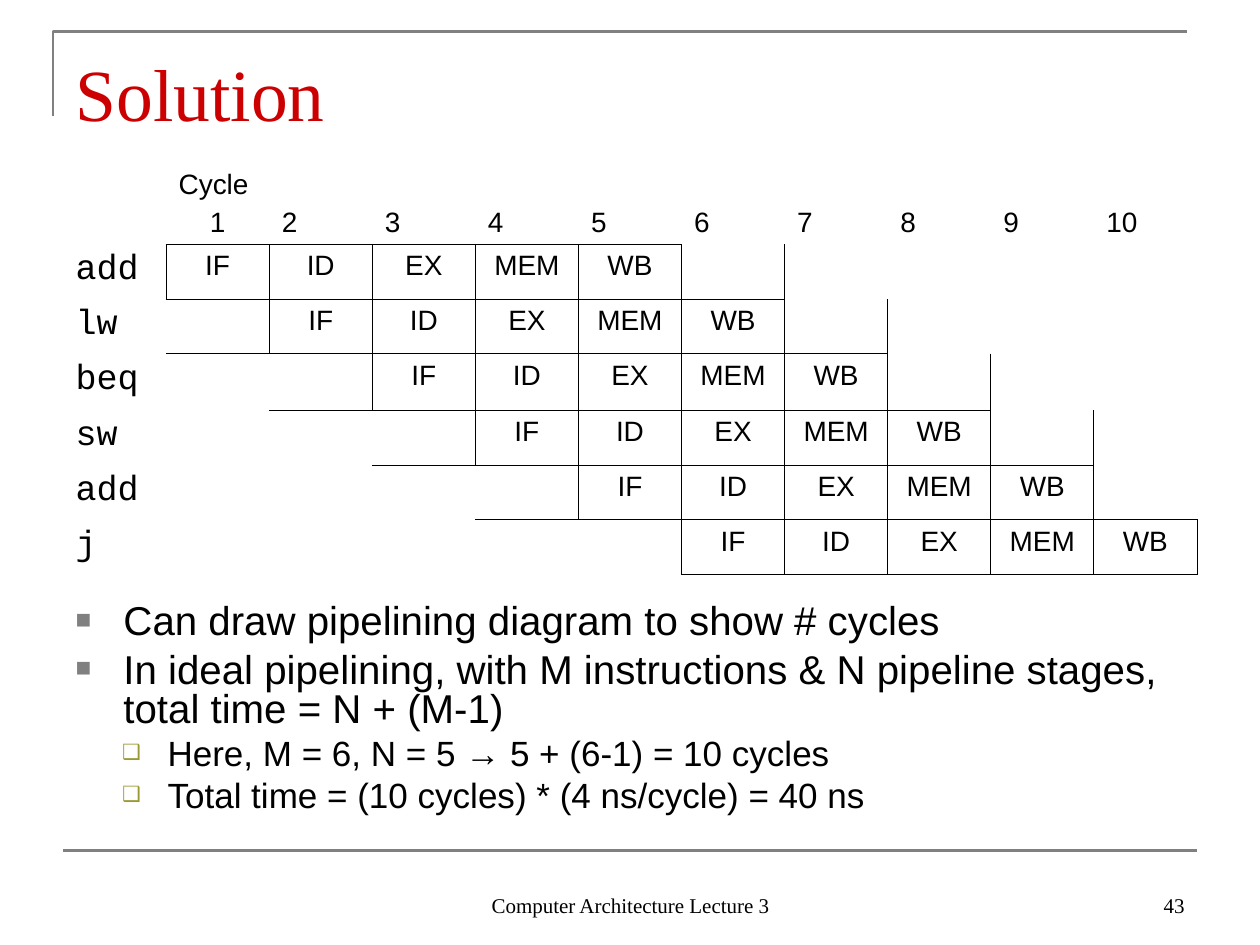
"""Build the pipelining solution slide."""
from lxml.etree import SubElement
from pptx import Presentation
from pptx.dml.color import RGBColor
from pptx.enum.shapes import MSO_CONNECTOR
from pptx.enum.text import MSO_ANCHOR, MSO_AUTO_SIZE, PP_ALIGN
from pptx.oxml.ns import qn
from pptx.util import Inches, Pt

COLORS = {"text": "000000", "title": "CC0000", "rule": "808080", "sub": "999933"}
SERIF, SANS, MONO = "Times New Roman", "Arial", "Courier New"
NO_STYLE = "{2D5ABB26-0587-4C30-8999-92F81FD0307C}"
STAGES = ["IF", "ID", "EX", "MEM", "WB"]
INSTRUCTIONS = ["add", "lw", "beq", "sw", "add", "j"]
CYCLES = len(INSTRUCTIONS) + len(STAGES) - 1
ROW_HEIGHTS = [0.69, 0.43, 0.43, 0.45, 0.43, 0.43, 0.43]
SIDES = {"a:lnL": (0, -1), "a:lnR": (0, 1), "a:lnT": (-1, 0), "a:lnB": (1, 0)}
BULLETS = [
    (0, "Can draw pipelining diagram to show # cycles"),
    (0, "In ideal pipelining, with M instructions & N pipeline stages, "
        "total time = N + (M-1)"),
    (1, "Here, M = 6, N = 5 → 5 + (6-1) = 10 cycles"),
    (1, "Total time = (10 cycles) * (4 ns/cycle) = 40 ns"),
]
LEVELS = [
    {"size": 23, "before": 5.8, "left": 0.38, "hang": 0.38,
     "char": "■", "color": "rule", "pct": 65},
    {"size": 20, "before": 5, "left": 0.73, "hang": 0.36,
     "char": "❑", "color": "sub", "pct": 60},
]


def rgb(name):
    return RGBColor.from_string(COLORS[name])


def add_run(p, text, size, font, color="text"):
    r = p.add_run()
    r.text = text
    r.font.size = Pt(size)
    r.font.name = font
    r.font.color.rgb = rgb(color)


def place(sp, left, top, width, height):
    sp.left, sp.top = Inches(left), Inches(top)
    sp.width, sp.height = Inches(width), Inches(height)


def add_frame(s):
    fb = s.shapes.build_freeform(Inches(0.42), Inches(0.92))
    fb.add_line_segments([(Inches(0.42), Inches(0.25)),
                          (Inches(9.42), Inches(0.25))], close=False)
    corner = fb.convert_to_shape()
    corner.fill.background()
    corner.shadow.inherit = False
    rule = s.shapes.add_connector(MSO_CONNECTOR.STRAIGHT, Inches(0.5), Inches(6.75),
                                  Inches(9.5), Inches(6.75))
    SubElement(rule._element.spPr, qn("a:effectLst"))
    for sp in (corner, rule):
        sp.line.color.rgb = rgb("rule")
        sp.line.width = Pt(1.5)


def fill_title(sp, text):
    place(sp, 0.5, 0.3, 9, 0.78)
    tf = sp.text_frame
    tf.auto_size = MSO_AUTO_SIZE.NONE
    tf.vertical_anchor = MSO_ANCHOR.BOTTOM
    tf.margin_bottom = 0
    p = tf.paragraphs[0]
    p.alignment = PP_ALIGN.LEFT
    add_run(p, text, 42, SERIF, "title")


def set_bullet(p, level):
    pPr = p._p.get_or_add_pPr()
    pPr.set("marL", str(Inches(level["left"])))
    pPr.set("indent", str(-Inches(level["hang"])))
    color = SubElement(pPr, qn("a:buClr"))
    SubElement(color, qn("a:srgbClr"), val=COLORS[level["color"]])
    SubElement(pPr, qn("a:buSzPct"), val=str(level["pct"] * 1000))
    SubElement(pPr, qn("a:buFont"), typeface=SANS)
    SubElement(pPr, qn("a:buChar"), char=level["char"])


def fill_bullets(sp):
    place(sp, 0.5, 4.75, 9, 1.95)
    tf = sp.text_frame
    tf.auto_size = MSO_AUTO_SIZE.NONE
    for i, (depth, text) in enumerate(BULLETS):
        p = tf.add_paragraph() if i else tf.paragraphs[0]
        level = LEVELS[depth]
        p.level = depth
        set_bullet(p, level)
        p.line_spacing = 0.8
        p.space_before = Pt(level["before"] if i else 0)
        add_run(p, text, level["size"], SANS)


def add_footer(s, text, left, width, align):
    sp = s.shapes.add_textbox(Inches(left), Inches(6.83), Inches(width), Inches(0.5))
    tf = sp.text_frame
    tf.word_wrap = True
    tf.vertical_anchor = MSO_ANCHOR.BOTTOM
    p = tf.paragraphs[0]
    p.alignment = align
    add_run(p, text, 12, SERIF)


def stage_at(row, col):
    step = col - row
    return STAGES[step] if 1 <= row <= len(INSTRUCTIONS) and 0 <= step < len(STAGES) else None


def set_borders(cell, row, col):
    tcPr = cell._tc.get_or_add_tcPr()
    for tag, (down, right) in SIDES.items():
        if stage_at(row, col) or stage_at(row + down, col + right):
            ln = SubElement(tcPr, qn(tag), w=str(Pt(0.45)))
            fill = SubElement(ln, qn("a:solidFill"))
            SubElement(fill, qn("a:srgbClr"), val=COLORS["text"])


def fill_cell(cell, row, col):
    tf = cell.text_frame
    p = tf.paragraphs[0]
    if row == 0 and col:
        cell.vertical_anchor = MSO_ANCHOR.BOTTOM
        if col == 1:
            add_run(p, "Cycle", 16, SANS)
            p = tf.add_paragraph()
            p.space_before = Pt(4)
            p.alignment = PP_ALIGN.CENTER
        add_run(p, str(col), 16, SANS)
    elif row and col == 0:
        add_run(p, INSTRUCTIONS[row - 1], 20, MONO)
    elif stage_at(row, col):
        p.alignment = PP_ALIGN.CENTER
        add_run(p, stage_at(row, col), 16, SANS)


def add_pipeline(s):
    table = s.shapes.add_table(len(ROW_HEIGHTS), CYCLES + 1, Inches(0.5), Inches(1.25),
                               Inches(9), Inches(sum(ROW_HEIGHTS))).table
    table.first_row = table.horz_banding = False
    table._tbl.tblPr.find(qn("a:tableStyleId")).text = NO_STYLE
    for row, height in enumerate(ROW_HEIGHTS):
        table.rows[row].height = Inches(height)
        for col in range(CYCLES + 1):
            cell = table.cell(row, col)
            set_borders(cell, row, col)
            cell.fill.background()
            fill_cell(cell, row, col)


def main():
    prs = Presentation()
    prs.slide_width, prs.slide_height = Inches(10), Inches(7.5)
    s = prs.slides.add_slide(prs.slide_layouts[1])
    add_frame(s)
    fill_title(s.shapes.title, "Solution")
    fill_bullets(s.placeholders[1])
    add_footer(s, "Computer Architecture Lecture 3", 3.42, 3.17, PP_ALIGN.CENTER)
    add_footer(s, "43", 7.17, 2.33, PP_ALIGN.RIGHT)
    add_pipeline(s)
    prs.save("out.pptx")


if __name__ == "__main__":
    main()
